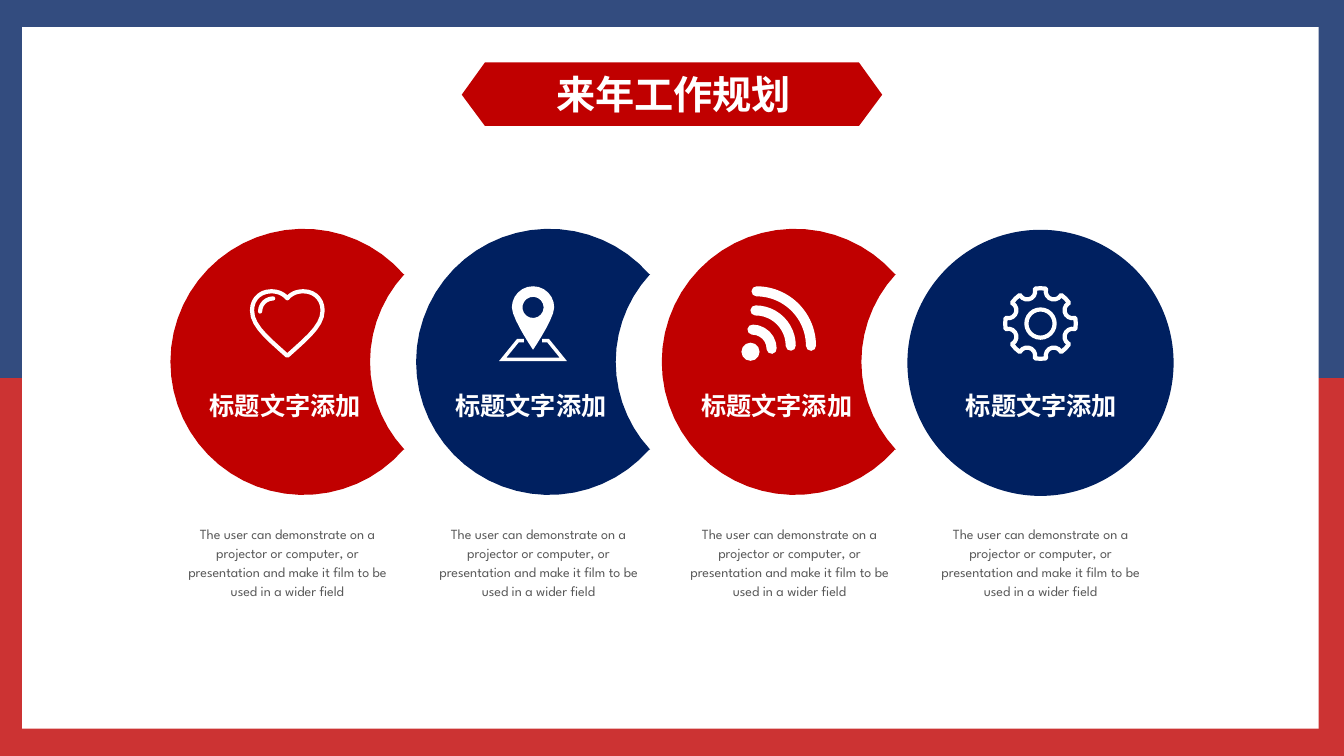
import dataclasses
import math
from typing import Any

import pptx
import pptx.dml.color
import pptx.enum.shapes
import pptx.enum.text
import pptx.oxml
import pptx.oxml.ns
import pptx.util

RGBColor = pptx.dml.color.RGBColor
RED = RGBColor(0xC0, 0x00, 0x00)
NAVY = RGBColor(0x00, 0x20, 0x60)
WHITE = RGBColor(0xFF, 0xFF, 0xFF)
GREY = RGBColor(0x59, 0x59, 0x59)
LATIN_FONT, CHINESE_FONT = "League Spartan", "Noto Sans CJK SC"
PRESET = pptx.enum.shapes.MSO_SHAPE

# The slide is a grid of square cells; every length below counts cells
COLUMNS, ROWS = 1333, 750
CELL = pptx.util.Inches(0.01)
TOLERANCE = 0.2
Point = tuple[float, float]
Contour = list[Point]

TITLE = "来年工作规划"
LABEL = "标题文字添加"
CAPTION = ("The user can demonstrate on a projector or computer, or presentation "
           "and make it film to be used in a wider field")

TITLE_FORMAT = {"size": pptx.util.Pt(28), "bold": True, "name": CHINESE_FONT}
LABEL_FORMAT = {"size": pptx.util.Pt(18), "bold": True, "name": LATIN_FONT}
CAPTION_FORMAT = {"size": pptx.util.Pt(10), "bold": False, "name": LATIN_FONT}


@dataclasses.dataclass(frozen=True)
class Outline:
    """Contours around an icon's centre; filled when the stroke is 0 points."""
    contours: list[Contour]
    stroke: float = 0
    closed: bool = True
    round_ends: bool = True


@dataclasses.dataclass(frozen=True)
class Round:
    """A circle or quarter arc around an icon's centre."""
    kind: Any
    x: float
    y: float
    radius: float
    stroke: float = 0
    round_ends: bool = True


@dataclasses.dataclass(frozen=True)
class Step:
    color: RGBColor
    icon: list[Outline | Round]
    crescent: bool = True


def cells(count: float) -> int:
    return round(count * CELL)


def arc(x: float, y: float, radius: float, start: float, end: float) -> Contour:
    """Points on a circle; degrees run clockwise from the right."""
    sweep = math.radians(end - start)
    count = math.ceil(abs(sweep) / math.sqrt(8 * TOLERANCE / radius))
    angles = [math.radians(start) + sweep * i / count for i in range(count + 1)]
    return [(x + radius * math.cos(a), y + radius * math.sin(a)) for a in angles]


def curve(a: Point, b: Point, c: Point, d: Point) -> Contour:
    """Points on a cubic Bezier curve, without its last point."""
    points = []
    for t in (i / 7 for i in range(7)):
        weights = ((1 - t) ** 3, 3 * t * (1 - t) ** 2, 3 * t * t * (1 - t), t ** 3)
        points.append(tuple(sum(w * p[axis] for w, p in zip(weights, (a, b, c, d)))
                            for axis in (0, 1)))
    return points


def mirrored(points: Contour) -> Contour:
    return [(-x, y) for x, y in reversed(points)]


def paint(shape: Any, color: RGBColor) -> Any:
    shape.shadow.inherit = False
    shape.fill.solid()
    shape.fill.fore_color.rgb = color
    shape.line.fill.background()
    return shape


def add_preset(kind: Any, box: tuple[float, ...], color: RGBColor) -> Any:
    return paint(slide.shapes.add_shape(kind, *map(cells, box)), color)


def add_outline(contours: list[Contour], color: RGBColor, x: float = 0, y: float = 0,
                closed: bool = True) -> Any:
    placed = [[(cells(x + px), cells(y + py)) for px, py in points] for points in contours]
    builder = slide.shapes.build_freeform(*placed[0][0], scale=1.0)
    for index, points in enumerate(placed):
        if index:
            builder.move_to(*points[0])
        builder.add_line_segments(points[1:], close=closed)
    return paint(builder.convert_to_shape(), color)


def add_part(part: Outline | Round, x: float, y: float) -> None:
    if isinstance(part, Round):
        size = 2 * part.radius
        shape = add_preset(part.kind, (x + part.x - part.radius, y + part.y - part.radius,
                                       size, size), WHITE)
    else:
        shape = add_outline(part.contours, WHITE, x, y, part.closed)
    if part.stroke:
        shape.fill.background()
        shape.line.color.rgb = WHITE
        shape.line.width = pptx.util.Pt(part.stroke)
        line = shape.line._get_or_add_ln()
        line.set("cap", "rnd" if part.round_ends else "flat")
        join = "<a:round %s/>" if part.round_ends else '<a:miter %s lim="800000"/>'
        line.append(pptx.oxml.parse_xml(join % pptx.oxml.ns.nsdecls("a")))


def write(shape: Any, text: str, color: RGBColor, font_format: dict[str, Any],
          spacing: float = 1.0, wrap: bool = True) -> None:
    shape.text_frame.word_wrap = wrap
    paragraph = shape.text_frame.paragraphs[0]
    paragraph.alignment = pptx.enum.text.PP_ALIGN.CENTER
    paragraph.line_spacing = spacing
    run = paragraph.add_run()
    run.text = text
    for name, value in font_format.items():
        setattr(run.font, name, value)
    run.font.color.rgb = color
    east_asian = pptx.oxml.parse_xml(
        f'<a:ea {pptx.oxml.ns.nsdecls("a")} typeface="{CHINESE_FONT}"/>')
    run.font._element.find(pptx.oxml.ns.qn("a:latin")).addnext(east_asian)


def add_text(box: tuple[float, ...], *content: Any) -> None:
    write(slide.shapes.add_textbox(*map(cells, box)), *content)


# Icons
heart_side = (curve((0, -25), (4, -30), (10, -32), (16, -32))
              + curve((16, -32), (27, -32), (35, -24), (35, -13))
              + curve((35, -13), (35, 2), (20, 14), (0, 32)))
heart = heart_side + [(0, 32)] + mirrored(heart_side[1:])
pin_side = curve((21, -16), (21, -5), (0, 26), (0, 26))
pin = arc(0, -16, 21, 180, 360) + pin_side[1:] + [(0, 26)] + mirrored(pin_side[1:])
map_sheet = [(-9, 17), (-15, 17), (-30, 35.5), (30, 35.5), (15, 17), (9, 17)]
gear = []
for tooth in range(0, 360, 45):
    gear += arc(0, 0, 35, tooth - 9, tooth + 9)
    middle = tooth + 22.5
    gear += arc(34.5 * math.cos(math.radians(middle)),
                34.5 * math.sin(math.radians(middle)), 8, middle - 97, middle - 263)

HEART = [Outline([heart], 3), Round(PRESET.ARC, -14, -12, 13, 3)]
HEART_SHINE_ROTATION = -90
PIN = [Outline([map_sheet], 2.5, closed=False, round_ends=False),
       Outline([pin, arc(0, -16, 10.5, 0, 360)])]
SIGNAL = [Round(PRESET.OVAL, -28, 28, 9), Round(PRESET.ARC, -26, 25, 19, 7.2),
          Round(PRESET.ARC, -23, 22, 35, 7.2), Round(PRESET.ARC, -22, 22, 54, 7.2)]
GEAR = [Outline([gear], 3), Round(PRESET.OVAL, 0, 0, 14, 3)]
STEPS = [Step(RED, HEART), Step(NAVY, PIN), Step(RED, SIGNAL),
         Step(NAVY, GEAR, crescent=False)]

presentation = pptx.Presentation()
presentation.slide_width, presentation.slide_height = cells(COLUMNS), cells(ROWS)
slide = presentation.slides.add_slide(presentation.slide_layouts[5])

# Two-colour frame around a white panel
for half, color in enumerate((NAVY, RED)):
    band = add_preset(PRESET.RECTANGLE, (0, half * ROWS / 2, COLUMNS, ROWS / 2), color)
    tint = band.fill._xPr.find(".//" + pptx.oxml.ns.qn("a:srgbClr"))
    tint.append(pptx.oxml.parse_xml(
        f'<a:alpha {pptx.oxml.ns.nsdecls("a")} val="80000"/>'))
add_preset(PRESET.RECTANGLE, (22, 27, 1286, 696), WHITE)

# Discs with icon, label and caption
DISC_LEFT, DISC_TOP, DISC_RADIUS = 169, 228, 132
DISC_PITCH, CAPTION_PITCH = 243.67, 249
crescent = (arc(DISC_RADIUS, 131, DISC_RADIUS, 41.3, 318.7)
            + arc(326, 131, 128, 222.8, 137.2))
for index, step in enumerate(STEPS):
    left = DISC_LEFT + index * DISC_PITCH
    if step.crescent:
        add_outline([crescent], step.color, left, DISC_TOP)
    else:
        add_preset(PRESET.OVAL, (left, DISC_TOP, 2 * DISC_RADIUS, 2 * DISC_RADIUS), step.color)
    center = left + (116 if step.crescent else DISC_RADIUS)
    for part in step.icon:
        add_part(part, center, 321)
    if step.icon is HEART:
        slide.shapes[-1].rotation = HEART_SHINE_ROTATION
    label_center = center - 2 if step.crescent else center + 1
    add_text((label_center - 116.5, 382, 233, 40), LABEL, WHITE, LABEL_FORMAT)
    add_text((DISC_LEFT + index * CAPTION_PITCH, 514, 232, 87),
             CAPTION, GREY, CAPTION_FORMAT, 1.14)

# Title on its ribbon
add_outline([[(481, 62), (852, 62), (875, 94), (852, 125), (481, 125), (458, 94)]], RED)
title = slide.shapes.title
for name, value in {"left": 540, "top": 65, "width": 256, "height": 57}.items():
    setattr(title, name, cells(value))
title.text_frame.vertical_anchor = pptx.enum.text.MSO_ANCHOR.MIDDLE
write(title, TITLE, WHITE, TITLE_FORMAT, wrap=False)
title.element.getparent().append(title.element)

presentation.save("out.pptx")
